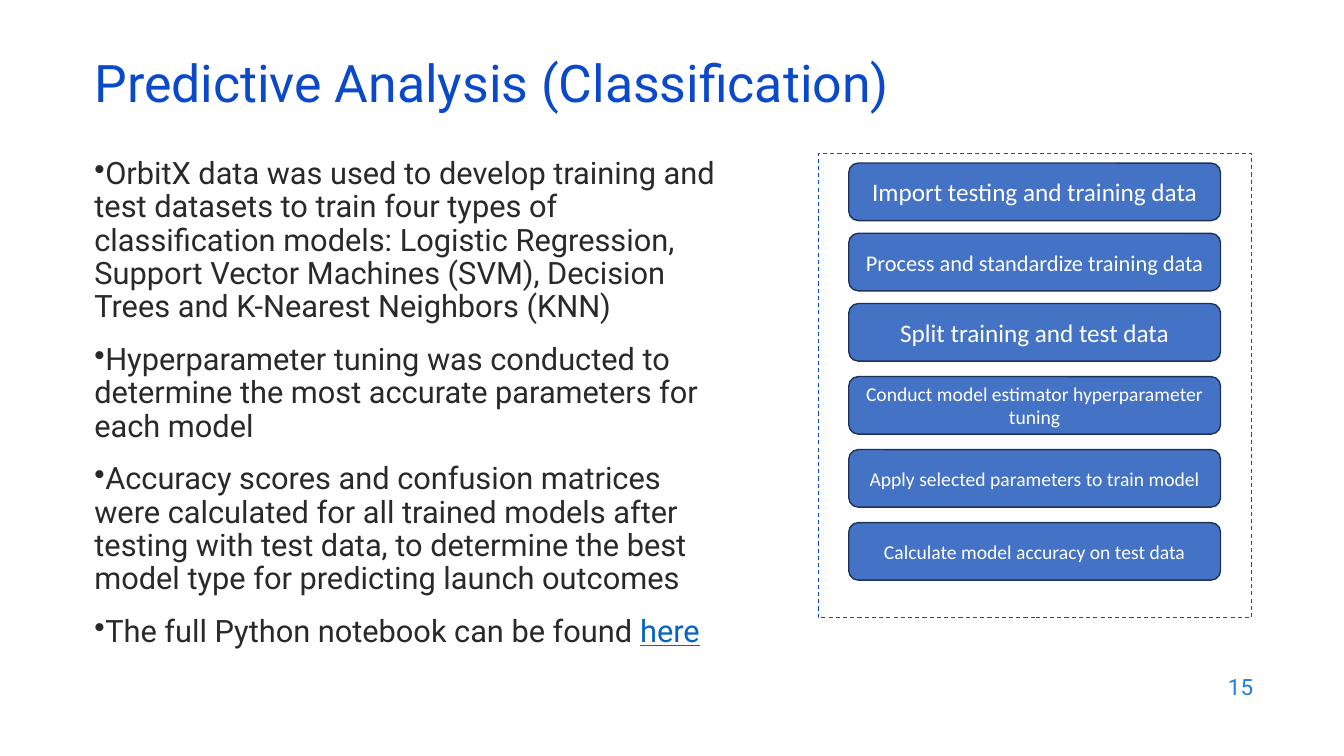
import pptx
import pptx.util
import pptx.dml.color
import pptx.enum.dml
import pptx.enum.shapes
import pptx.enum.text
import pptx.oxml
import pptx.oxml.ns
from pptx.util import Cm, Pt

HEADING = "Predictive Analysis (Classification)"
FINDINGS = [
    ["OrbitX data was used to develop training and test datasets to train four types of "
     "classification models: Logistic Regression, Support Vector Machines (SVM), "
     "Decision Trees and K-Nearest Neighbors (KNN)"],
    ["Hyperparameter tuning was conducted to determine the most accurate parameters for each model"],
    ["Accuracy scores and confusion matrices were calculated for all trained models after testing "
     "with test data, to determine the best model type for predicting launch outcomes"],
    ["The full Python notebook can be found ", "here"],
]
STEPS = [
    ("Import testing and training data", 18),
    ("Process and standardize training data", 16),
    ("Split training and test data", 18),
    ("Conduct model estimator hyperparameter tuning", 14),
    ("Apply selected parameters to train model", 14),
    ("Calculate model accuracy on test data", 14),
]
PAGE = "15"
COLORS = {
    "heading": "0B49CB", "body": "292929", "link": "0563C1", "page": "1C7DDB",
    "step": "4472C4", "step_line": "1E3256", "step_text": "FFFFFF",
}
ALIGN = pptx.enum.text.PP_ALIGN
ANCHOR = pptx.enum.text.MSO_ANCHOR
SHAPE = pptx.enum.shapes.MSO_SHAPE


def rgb(name):
    return pptx.dml.color.RGBColor.from_string(COLORS[name])


def write(frame, paragraphs, *, size, color, font="Roboto", align=ALIGN.LEFT,
          anchor=ANCHOR.MIDDLE, spacing=None, gap=0, bullet=None):
    frame.word_wrap = True
    frame.auto_size = pptx.enum.text.MSO_AUTO_SIZE.NONE
    frame.vertical_anchor = anchor
    for index, parts in enumerate(paragraphs):
        paragraph = frame.paragraphs[0] if index == 0 else frame.add_paragraph()
        if bullet:
            properties = paragraph._p.get_or_add_pPr()
            properties.set("marL", "0")
            properties.set("indent", "0")
            mark = pptx.oxml.parse_xml(
                f'<a:buChar {pptx.oxml.ns.nsdecls("a")} char="{bullet}"/>')
            properties.append(mark)
        paragraph.alignment = align
        paragraph.space_before = Pt(gap if index else 0)
        if spacing:
            paragraph.line_spacing = spacing
        for text in parts:
            run = paragraph.add_run()
            run.text = text
            run.font.name = font
            run.font.size = Pt(size)
            run.font.color.rgb = rgb(color)


def add_box(slide, kind, left, top, width, height, line, weight):
    box = slide.shapes.add_shape(kind, Cm(left), Cm(top), Cm(width), Cm(height))
    box.shadow.inherit = False
    box.line.color.rgb = rgb(line)
    box.line.width = Pt(weight)
    return box


def main():
    deck = pptx.Presentation()
    deck.slide_width, deck.slide_height = Cm(33.87), Cm(19.05)
    slide = deck.slides.add_slide(deck.slide_layouts[5])

    heading = slide.shapes.title
    heading.left, heading.top = Cm(2.13), Cm(1.5)
    heading.width, heading.height = Cm(29.21), Cm(1.52)
    write(heading.text_frame, [[HEADING]], size=37, color="heading", spacing=0.7)

    findings = slide.shapes.add_textbox(Cm(2.13), Cm(3.86), Cm(16.62), Cm(13.28))
    write(findings.text_frame, FINDINGS, size=22, color="body", anchor=ANCHOR.TOP,
          spacing=0.9, gap=14, bullet="•")
    notebook_link = findings.text_frame.paragraphs[-1].runs[-1]
    notebook_link.font.color.rgb = rgb("link")
    notebook_link.font.underline = True

    process_frame = add_box(slide, SHAPE.RECTANGLE, 20.62, 3.86, 10.92, 11.71, "heading", 0.75)
    process_frame.fill.background()
    process_frame.line.dash_style = pptx.enum.dml.MSO_LINE.DASH

    first_top, upper_pitch, lower_pitch, upper_steps = 4.11, 1.77, 1.84, 2
    for index, (label, size) in enumerate(STEPS):
        top = (first_top + upper_pitch * min(index, upper_steps)
               + lower_pitch * max(index - upper_steps, 0))
        step = add_box(slide, SHAPE.ROUNDED_RECTANGLE, 21.39, top, 9.37, 1.45, "step_line", 1)
        step.fill.solid()
        step.fill.fore_color.rgb = rgb("step")
        write(step.text_frame, [[label]], size=size, color="step_text", font="Calibri",
              align=ALIGN.CENTER)

    page = slide.shapes.add_textbox(Cm(24.21), Cm(16.74), Cm(7.62), Cm(1.12))
    write(page.text_frame, [[PAGE]], size=16, color="page", align=ALIGN.RIGHT)

    deck.save("out.pptx")


if __name__ == "__main__":
    main()
